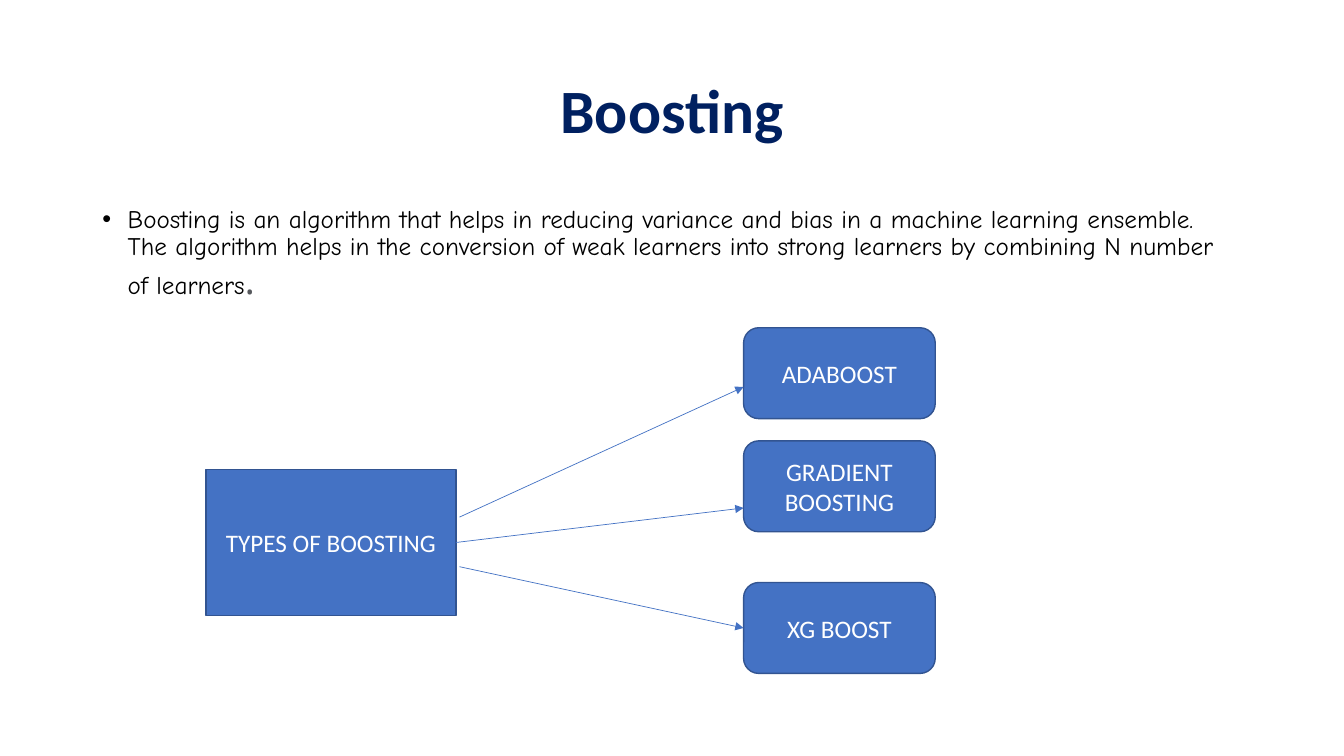
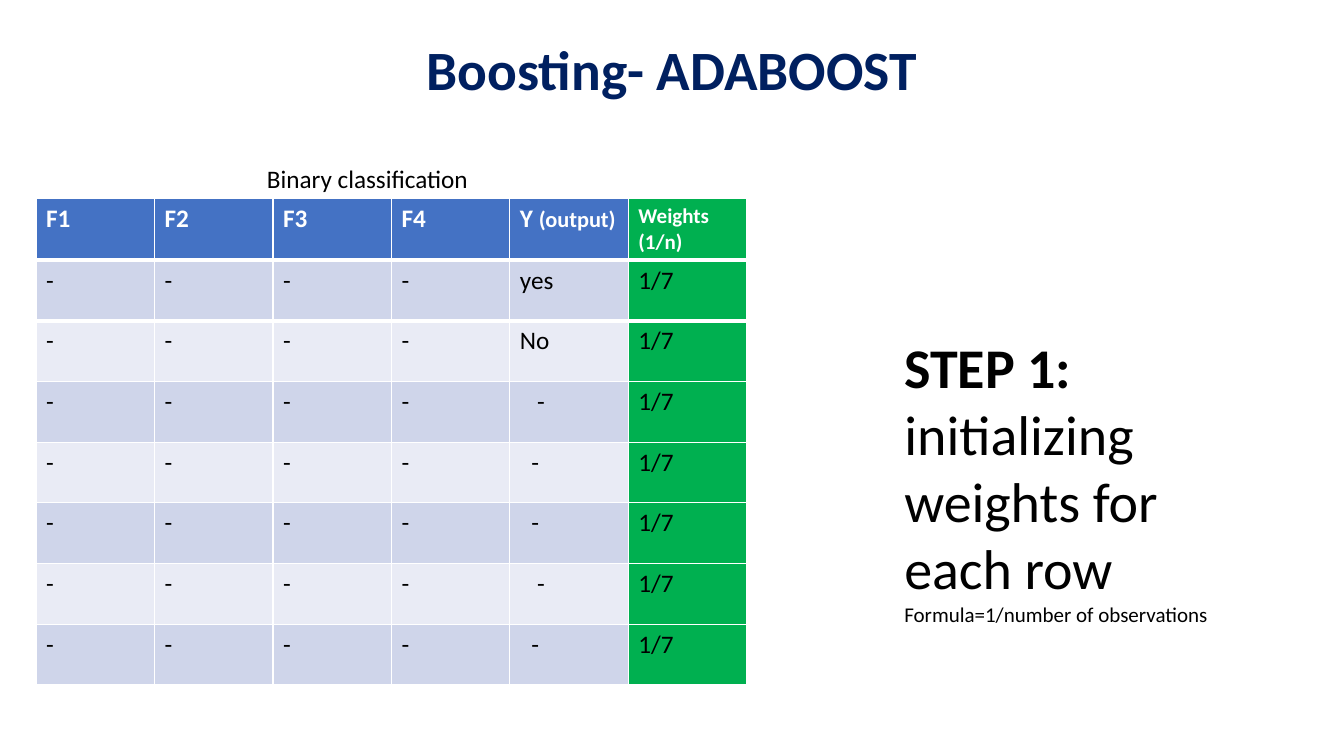
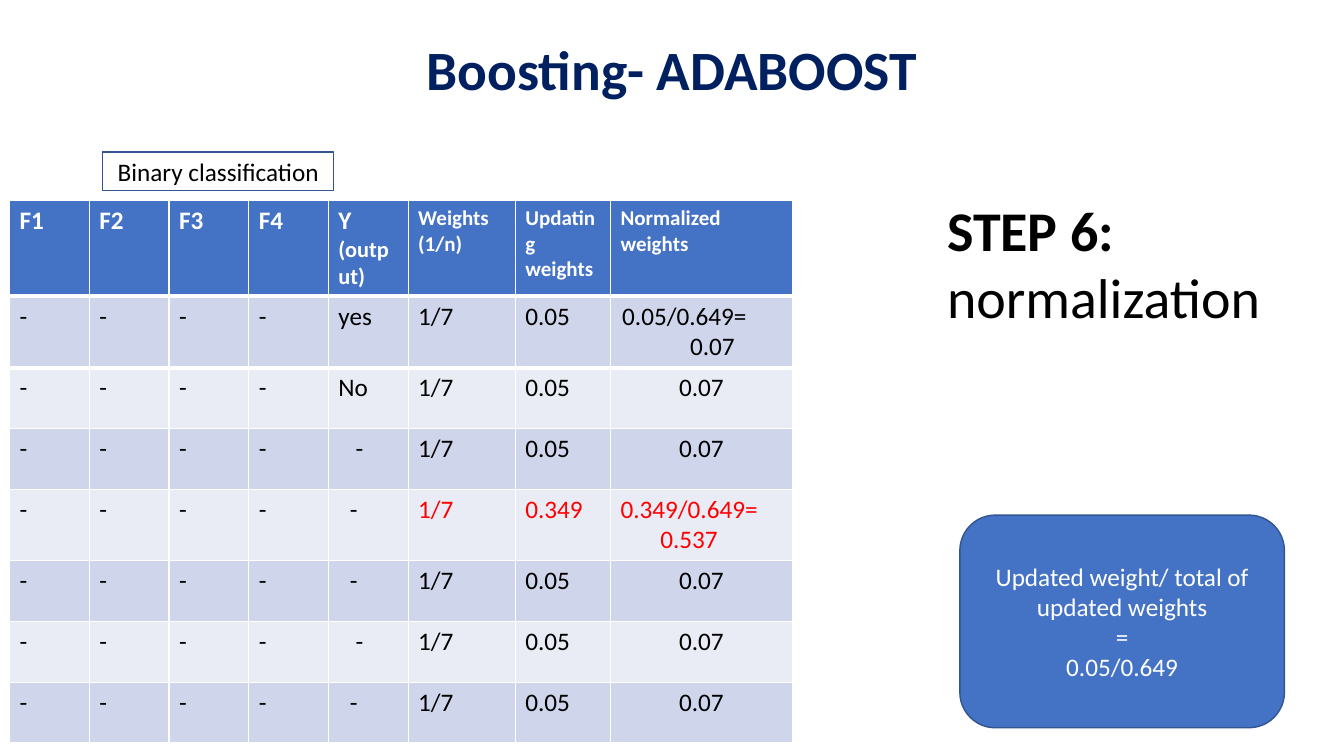
"""Build three slides on boosting and the AdaBoost weight steps."""
from dataclasses import dataclass

from lxml.etree import SubElement
from pptx import Presentation
from pptx.dml.color import RGBColor
from pptx.enum.shapes import MSO_CONNECTOR as Connector, MSO_SHAPE as Shape
from pptx.enum.text import MSO_ANCHOR as Anchor, MSO_AUTO_SIZE as AutoSize, PP_ALIGN as Align
from pptx.oxml.ns import qn
from pptx.util import Cm, Pt


@dataclass(frozen=True)
class Theme:
    font: str = "Calibri"
    body_font: str = "Comic Neue"
    dot_font: str = "Open Sans"
    navy: str = "002060"
    blue: str = "4472C4"
    outline: str = "325491"
    green: str = "00B050"
    red: str = "FF0000"
    black: str = "000000"
    white: str = "FFFFFF"
    grey: str = "57595D"
    bands: tuple = ("CFD5EA", "E9EBF5")
    cover_title: float = 44
    title: float = 39.6
    step: float = 40
    dot: float = 28
    text: float = 18
    unit: float = 16
    small: float = 15


theme = Theme()


@dataclass
class Span:
    text: str
    size: float = theme.text
    color: str = theme.black
    bold: bool = False
    font: str = theme.font


@dataclass
class Para:
    spans: list
    align: Align = Align.LEFT
    indent: float = 0


def write(frame, paras):
    frame.word_wrap = True
    for index, item in enumerate(paras):
        para = frame.paragraphs[0] if index == 0 else frame.add_paragraph()
        para.alignment = item.align
        if item.indent:
            para._p.get_or_add_pPr().set("marL", str(Cm(item.indent)))
        for part in item.spans:
            span = para.add_run()
            span.text = part.text
            span.font.name = part.font
            span.font.size = Pt(part.size)
            span.font.bold = part.bold
            span.font.color.rgb = RGBColor.from_string(part.color)


def add_box(page, kind, at, lines, fill=theme.blue, line=theme.outline, color=theme.white):
    box = page.shapes.add_shape(kind, *map(Cm, at))
    box.shadow.inherit = False
    box.fill.solid()
    box.fill.fore_color.rgb = RGBColor.from_string(fill)
    box.line.color.rgb = RGBColor.from_string(line)
    box.line.width = Pt(1)
    box.text_frame.vertical_anchor = Anchor.MIDDLE
    write(box.text_frame, [Para([Span(text, color=color)], Align.CENTER) for text in lines])
    return box


deck = Presentation()
deck.slide_width, deck.slide_height = Cm(33.87), Cm(19.05)

pages = []
for text, height, size in (
    ("Boosting", 3.68, theme.cover_title),
    ("Boosting- ADABOOST", 1.65, theme.title),
    ("Boosting- ADABOOST", 1.65, theme.title),
):
    page = deck.slides.add_slide(deck.slide_layouts[5])
    title = page.shapes.title
    title.left, title.top, title.width, title.height = map(Cm, (2.33, 1.01, 29.21, height))
    frame = title.text_frame
    frame.auto_size = AutoSize.NONE
    frame.vertical_anchor = Anchor.MIDDLE
    write(frame, [Para([Span(text, size, theme.navy, True)], Align.CENTER)])
    frame.paragraphs[0].line_spacing = 0.9
    pages.append(page)

overview = pages[0]
body = overview.shapes.add_textbox(*map(Cm, (2.33, 5.08, 29.21, 12.09)))
body.text_frame.margin_right = Cm(0.75)
definition = (
    "Boosting is an algorithm that helps in reducing variance and bias in a machine learning "
    "ensemble. The algorithm helps in the conversion of weak learners into strong learners "
    "by combining N number of learners"
)
write(body.text_frame, [Para([
    Span(definition, font=theme.body_font),
    Span(".", theme.dot, theme.grey, font=theme.dot_font),
], indent=0.64)])
para = body.text_frame.paragraphs[0]
para.line_spacing = 0.9
para.space_before = Pt(10)
bullet = para._p.get_or_add_pPr()
bullet.set("indent", str(-Cm(0.64)))
SubElement(bullet, qn("a:buFont")).set("typeface", "Arial")
SubElement(bullet, qn("a:buChar")).set("char", "•")

types = add_box(overview, Shape.RECTANGLE, (5.19, 11.83, 6.3, 3.68), ["TYPES OF BOOSTING"])
for text, top, start, end, starts_middle, ends_middle in (
    ("ADABOOST", 8.26, (11.58, 13.03), (18.74, 9.75), False, False),
    ("GRADIENT BOOSTING", 11.11, (11.49, 13.67), (18.74, 12.8), True, False),
    ("XG BOOST", 14.68, (11.58, 14.28), (18.74, 15.82), False, True),
):
    method = add_box(overview, Shape.ROUNDED_RECTANGLE, (18.74, top, 4.83, 2.29), [text])
    arrow = overview.shapes.add_connector(Connector.STRAIGHT, *map(Cm, start + end))
    if starts_middle:
        arrow.begin_connect(types, 3)
    if ends_middle:
        arrow.end_connect(method, 1)
    arrow.line.color.rgb = RGBColor.from_string(theme.blue)
    arrow.line.width = Pt(0.5)
    SubElement(arrow.line._get_or_add_ln(), qn("a:tailEnd")).set("type", "triangle")
    SubElement(arrow._element.spPr, qn("a:effectLst"))

head = {"color": theme.white, "bold": True}
headings = [[Para([Span(f"F{number}", **head)])] for number in range(1, 5)]
headings.append([Para([Span("Y ", **head), Span("(output)", theme.unit, **head)])])
headings.append([Para([Span(text, theme.small, **head)]) for text in ("Weights", "(1/n)")])
extra_headings = [
    [Para([Span(text, theme.small, **head)])] for text in ("Updating weights", "Normalized weights")
]

outputs = (("yes", 0), ("No", 0), ("-", 0.43), ("-", 0.29), ("-", 0.29), ("-", 0.43), ("-", 0.29))
misclassified = 3
initial_rows, normalized_rows = [], []
for index, (output, indent) in enumerate(outputs):
    features = [[Para([Span("-")])] for _ in range(4)]
    features.append([Para([Span(output)], indent=indent)])
    initial_rows.append(features + [[Para([Span("1/7")])]])
    color = theme.red if index == misclassified else theme.black
    updated = "0.349" if index == misclassified else "0.05"
    if index == misclassified:
        normalized = [Para([Span("0.349/0.649=", color=color)]),
                      Para([Span("0.537", color=color)], indent=1)]
    elif index == 0:
        normalized = [Para([Span("0.05/0.649=")], indent=0.04), Para([Span("0.07")], indent=1.75)]
    else:
        normalized = [Para([Span("0.07")], Align.CENTER)]
    weights = [[Para([Span(text, color=color)])] for text in ("1/7", updated)]
    normalized_rows.append(features + weights + [normalized])

steps = (
    {
        "rows": [headings] + initial_rows, "at": (0.91, 5), "widths": [2.985] * 6,
        "head_height": 1.53, "green_column": 5,
        "label_at": (6.35, 4.01), "label_line": theme.white,
        "step_at": (22.54, 8.25, 8.74, 7.75),
        "step": [("STEP 1:", theme.step, True),
                 ("initializing weights for each row", theme.step, False),
                 ("Formula=1/number of observations", theme.small, False)],
    },
    {
        "rows": [headings + extra_headings] + normalized_rows, "at": (0.24, 5.05),
        "widths": [2.01] * 5 + [2.7, 2.4, 4.58],
        "head_height": 1.45, "green_column": None,
        "label_at": (2.59, 3.83), "label_line": theme.outline,
        "step_at": (23.62, 4.8, 8.74, 4.32),
        "step": [("STEP 6:", theme.step, True), ("normalization", theme.step, False)],
    },
)
for page, step in zip(pages[1:], steps):
    heights = [step["head_height"]] + [1.53] * len(outputs)
    size = (sum(step["widths"]), sum(heights))
    table = page.shapes.add_table(
        len(heights), len(step["widths"]), *map(Cm, step["at"] + size)
    ).table
    for column, width in zip(table.columns, step["widths"]):
        column.width = Cm(width)
    for row_index, (row, height) in enumerate(zip(step["rows"], heights)):
        table.rows[row_index].height = Cm(height)
        row_fill = theme.bands[(row_index - 1) % 2] if row_index else theme.blue
        for column_index, paras in enumerate(row):
            cell = table.cell(row_index, column_index)
            if row_index < 2:
                side = "a:lnT" if row_index else "a:lnB"
                border = SubElement(cell._tc.get_or_add_tcPr(), qn(side), w=str(Pt(3)))
                paint = SubElement(border, qn("a:solidFill"))
                SubElement(paint, qn("a:srgbClr"), val=theme.white)
            fill = theme.green if column_index == step["green_column"] else row_fill
            cell.fill.solid()
            cell.fill.fore_color.rgb = RGBColor.from_string(fill)
            write(cell.text_frame, paras)
    add_box(page, Shape.RECTANGLE, step["label_at"] + (5.82, 0.97), ["Binary classification"],
            theme.white, step["label_line"], theme.black)
    note = page.shapes.add_textbox(*map(Cm, step["step_at"]))
    write(note.text_frame, [Para([Span(text, size, bold=bold)]) for text, size, bold in step["step"]])

add_box(pages[2], Shape.ROUNDED_RECTANGLE, (24.19, 12.98, 8.18, 5.36),
        ["Updated weight/ total of updated weights", "=", "0.05/0.649"])

deck.save("out.pptx")
